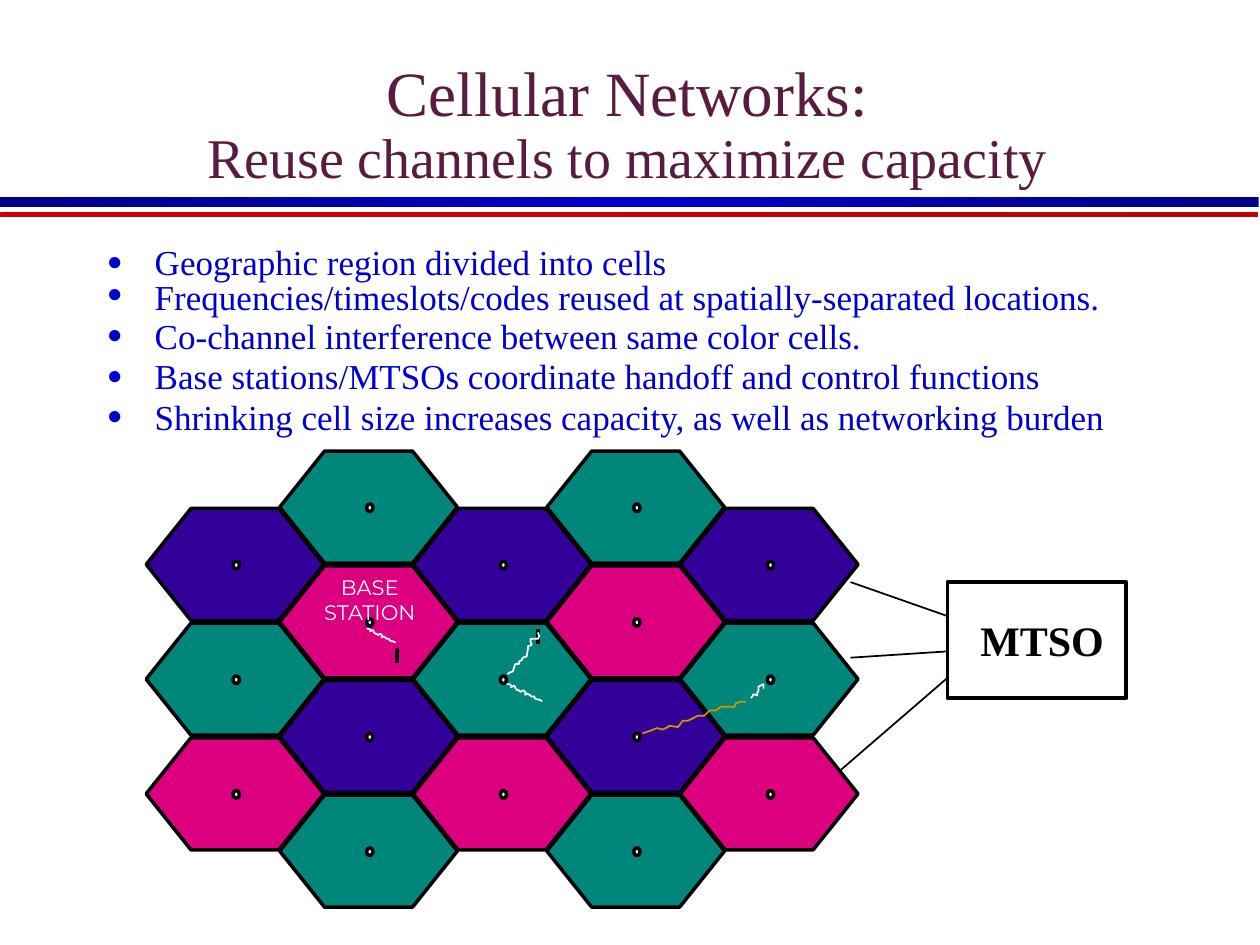
from copy import deepcopy

from lxml import etree
from pptx import Presentation
from pptx.dml.color import RGBColor
from pptx.enum.shapes import MSO_CONNECTOR, MSO_SHAPE
from pptx.enum.text import MSO_ANCHOR, PP_ALIGN
from pptx.oxml.ns import qn
from pptx.util import Inches, Pt

STRAIGHT = MSO_CONNECTOR.STRAIGHT
RECTANGLE, HEXAGON, OVAL = MSO_SHAPE.RECTANGLE, MSO_SHAPE.HEXAGON, MSO_SHAPE.OVAL
CENTER, LEFT = PP_ALIGN.CENTER, PP_ALIGN.LEFT
BOTTOM, MIDDLE, TOP = MSO_ANCHOR.BOTTOM, MSO_ANCHOR.MIDDLE, MSO_ANCHOR.TOP

SERIF = "Times New Roman"
BLACK, WHITE, BLUE, PLUM = "000000", "FFFFFF", "0000CC", "591C40"
TEAL, PURPLE, PINK, GOLD = "00867A", "330099", "DC0081", "CC9900"

# Cell grid: odd columns sit half a row higher and hold one more cell
GRID_LEFT, GRID_TOP = 1.16, 3.58
COLUMN_STEP, ROW_STEP = 1.06, 0.91
CELL_WIDTH, CELL_HEIGHT = 1.41, 0.89
EVEN_COLUMN = [PURPLE, TEAL, PINK]
ODD_COLUMN = [TEAL, PINK, PURPLE, TEAL]

# Text and its line spacing
BULLETS = [
    ("Geographic region divided into cells", 1.1),
    ("Frequencies/timeslots/codes reused at spatially-separated locations.", 0.6),
    ("Co-channel interference between same color cells.", 0.8),
    ("Base stations/MTSOs coordinate handoff and control functions", 0.8),
    ("Shrinking cell size increases capacity, as well as networking burden", 0.8),
]

# Radio signals, in inches; the first is relative to its own start
FADING_WAVE = [
    (0, 0), (0.02, 0), (0.03, 0.01), (0.03, 0.02), (0.05, 0.01), (0.06, 0.03),
    (0.07, 0.04), (0.08, 0.04), (0.09, 0.05), (0.11, 0.04), (0.12, 0.05),
    (0.12, 0.07), (0.13, 0.06), (0.15, 0.07), (0.16, 0.08), (0.18, 0.08),
    (0.18, 0.09), (0.2, 0.1), (0.21, 0.1), (0.23, 0.11)]
UPWARD_WAVE = [
    (4.27, 5.02), (4.28, 5.05), (4.27, 5.07), (4.21, 5.07), (4.21, 5.09),
    (4.22, 5.12), (4.19, 5.13), (4.19, 5.15), (4.18, 5.21), (4.15, 5.22),
    (4.14, 5.24), (4.12, 5.25), (4.12, 5.27), (4.09, 5.27), (4.08, 5.3),
    (4.07, 5.33), (4.04, 5.34), (4.03, 5.35)]
SHORT_WAVE = [
    (6.06, 5.43), (6.06, 5.46), (6.06, 5.43), (6.02, 5.45), (6.02, 5.48),
    (6.01, 5.5), (6.01, 5.52), (5.98, 5.51), (5.97, 5.53), (5.96, 5.54)]
INTERFERENCE_WAVE = [
    (5.1, 5.82), (5.16, 5.8), (5.21, 5.78), (5.22, 5.78), (5.26, 5.79),
    (5.3, 5.77), (5.31, 5.76), (5.38, 5.77), (5.42, 5.72), (5.46, 5.72),
    (5.54, 5.68), (5.59, 5.68), (5.63, 5.64), (5.68, 5.64), (5.72, 5.61),
    (5.83, 5.61), (5.84, 5.58), (5.88, 5.57), (5.92, 5.57)]


def color(value):
    return RGBColor.from_string(value)


def set_line(target, line_color, width):
    target.line.color.rgb = color(line_color)
    target.line.width = Pt(width)


def add_box(slide, kind, left, top, width, height, fill=None, line=None, weight=2):
    box = slide.shapes.add_shape(
        kind, Inches(left), Inches(top), Inches(width), Inches(height))
    box.shadow.inherit = False
    if fill:
        box.fill.solid()
        box.fill.fore_color.rgb = color(fill)
    else:
        box.fill.background()
    if line:
        set_line(box, line, weight)
    else:
        box.line.fill.background()
    return box


def set_gradient(bar, colors):
    """Spread the colours evenly from left to right."""
    bar.fill.gradient()
    bar.fill.gradient_angle = 0
    stop_list = bar._element.spPr.find(qn("a:gradFill")).find(qn("a:gsLst"))
    while len(stop_list) < len(colors):
        stop_list.append(deepcopy(stop_list[-1]))
    for index, (stop, value) in enumerate(zip(bar.fill.gradient_stops, colors)):
        stop.color.rgb = color(value)
        stop.position = index / (len(colors) - 1)


def add_line(slide, start, end, weight=1):
    line = slide.shapes.add_connector(STRAIGHT, *map(Inches, start + end))
    set_line(line, BLACK, weight)
    etree.SubElement(line._element.spPr, qn("a:effectLst"))


def add_wave(slide, points, line_color=WHITE):
    start, *rest = [(Inches(x), Inches(y)) for x, y in points]
    builder = slide.shapes.build_freeform(*start)
    builder.add_line_segments(rest, close=False)
    wave = builder.convert_to_shape()
    wave.shadow.inherit = False
    wave.fill.background()
    set_line(wave, line_color, 1)


def add_text_area(slide, left, top, width, height, anchor=TOP, wrap=True):
    frame = slide.shapes.add_textbox(
        Inches(left), Inches(top), Inches(width), Inches(height)).text_frame
    frame.word_wrap = wrap
    frame.vertical_anchor = anchor
    return frame


def add_run(paragraph, text, text_color, **font_format):
    run = paragraph.add_run()
    run.text = text
    run.font.color.rgb = color(text_color)
    for name, value in font_format.items():
        setattr(run.font, name, value)


def add_bullet(paragraph, text, spacing, space_before):
    properties = paragraph._p.get_or_add_pPr()
    properties.set("marL", str(Inches(0.38)))
    properties.set("indent", str(-Inches(0.38)))
    bullet_color = etree.SubElement(properties, qn("a:buClr"))
    etree.SubElement(bullet_color, qn("a:srgbClr"), val=BLUE)
    etree.SubElement(properties, qn("a:buSzPct"), val="75000")
    etree.SubElement(properties, qn("a:buFont"), typeface=SERIF)
    etree.SubElement(properties, qn("a:buChar"), char="●")
    paragraph.line_spacing = spacing
    paragraph.space_before = Pt(space_before)
    add_run(paragraph, text, BLUE, name=SERIF, size=Pt(20))


def add_heading(slide):
    blue_bar = add_box(slide, RECTANGLE, 0, 1.56, 9.99, 0.08)
    set_gradient(blue_bar, ["000089", BLUE, "000089"])
    red_bar = add_box(slide, RECTANGLE, 0.01, 1.69, 9.97, 0.03, line="CC0000", weight=1)
    set_gradient(red_bar, ["CC0000", "B90000"])

    title = add_text_area(slide, 0.32, 0.31, 9.32, 1.25, BOTTOM).paragraphs[0]
    title.alignment = CENTER
    title.line_spacing = 0.9
    add_run(title, "Cellular Networks:", PLUM, name=SERIF, size=Pt(36))
    title.add_line_break()
    add_run(title, "Reuse channels to maximize capacity", PLUM, name=SERIF, size=Pt(32))


def add_bullets(slide):
    body = add_text_area(slide, 0.75, 1.83, 8.7, 0.98)
    for index, (text, spacing) in enumerate(BULLETS):
        paragraph = body.add_paragraph() if index else body.paragraphs[0]
        add_bullet(paragraph, text, spacing, 4 if index else 0)


def add_cells(slide):
    stations = []
    for column in range(5):
        odd = column % 2
        left = GRID_LEFT + column * COLUMN_STEP
        first_top = GRID_TOP + (0 if odd else ROW_STEP / 2)
        for row, fill in enumerate(ODD_COLUMN if odd else EVEN_COLUMN):
            top = first_top + row * ROW_STEP
            cell = add_box(slide, HEXAGON, left, top, CELL_WIDTH, CELL_HEIGHT, fill, BLACK)
            cell.adjustments[0] = 0.4
            stations.append((left + 0.69, top + 0.42))
    for left, top in stations:
        add_box(slide, OVAL, left, top, 0.05, 0.06, WHITE, BLACK)


def add_signals(slide):
    label = add_text_area(slide, 2.42, 4.51, 1.03, 0.5, wrap=False)
    for paragraph, word in zip([label.paragraphs[0], label.add_paragraph()],
                               ["BASE", "STATION"]):
        paragraph.alignment = CENTER
        add_run(paragraph, word, WHITE, name="Montserrat", size=Pt(12))

    # Mobile handsets
    for x, y in [(3.15, 5.14), (4.27, 4.99)]:
        add_line(slide, (x, y), (x, y + 0.12), 2)

    for left, top, scale in [(2.91, 4.99, 1), (4.02, 5.43, 1.23)]:
        add_wave(slide, [(left + x * scale, top + y * scale) for x, y in FADING_WAVE])
    add_wave(slide, UPWARD_WAVE)
    add_wave(slide, SHORT_WAVE)
    add_wave(slide, INTERFERENCE_WAVE, GOLD)


def add_switching_office(slide):
    office = add_box(slide, RECTANGLE, 7.52, 4.62, 1.42, 0.92, line=BLACK, weight=2.25)
    frame = office.text_frame
    frame.word_wrap = False
    frame.vertical_anchor = MIDDLE
    frame.margin_left = Inches(0.26)
    frame.paragraphs[0].alignment = LEFT
    add_run(frame.paragraphs[0], "MTSO", BLACK, name=SERIF, size=Pt(24), bold=True)
    add_line(slide, (7.52, 4.89), (6.75, 4.62))
    add_line(slide, (7.52, 5.17), (6.75, 5.22))


def main():
    deck = Presentation()
    deck.slide_width, deck.slide_height = Inches(10), Inches(7.5)
    slide = deck.slides.add_slide(deck.slide_layouts[6])
    add_heading(slide)
    add_bullets(slide)
    # This link runs behind the cells
    add_line(slide, (7.52, 5.38), (6.5, 6.26))
    add_cells(slide)
    add_signals(slide)
    add_switching_office(slide)
    deck.save("out.pptx")


if __name__ == "__main__":
    main()
